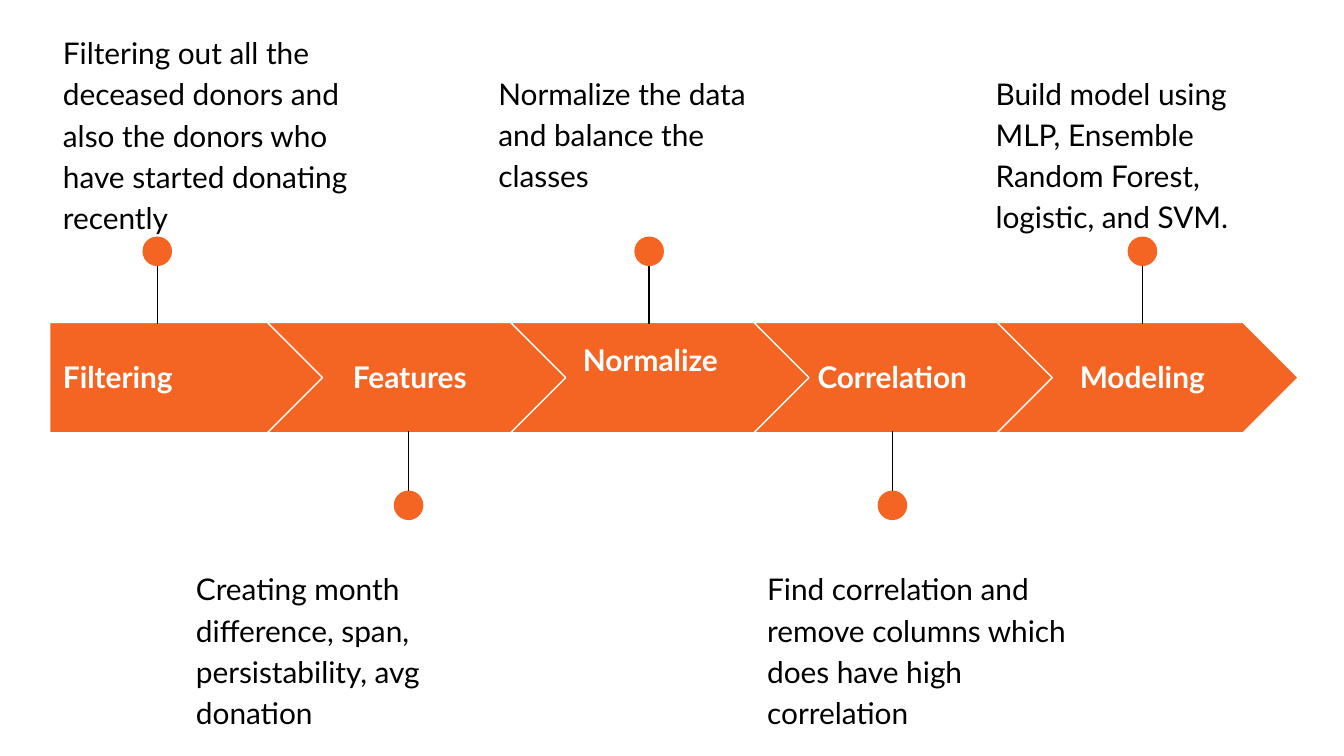
from lxml.etree import SubElement
from pptx import Presentation
from pptx.dml.color import RGBColor
from pptx.enum.shapes import MSO_CONNECTOR, MSO_SHAPE
from pptx.enum.text import MSO_ANCHOR, PP_ALIGN
from pptx.oxml.ns import qn
from pptx.util import Inches, Pt

COLORS = {"orange": "F46524", "white": "FFFFFF", "black": "000000"}
FONT, SIZE = "Lato", 16
LEFT, TOP, HIGH = 0.37, 2.4, 0.82
FIRST, STEP = 1.99, 1.81  # left of the first chevron, pitch of the chevrons
DOT = 0.22

# label, label left, label top, pin x, note left, note top, note
STEPS = [
    ("Filtering", 0.37, 2.55, 1.17, 0.37, 0.12,
     "Filtering out all the deceased donors and also the donors who "
     "have started donating recently"),
    ("Features", 2.33, 2.55, 3.04, 1.36, 4.11,
     "Creating month difference, span, persistability, avg donation"),
    ("Normalize", 4.12, 2.42, 4.83, 3.61, 0.42,
     "Normalize the data and balance the classes"),
    ("Correlation", 5.92, 2.55, 6.64, 5.61, 4.11,
     "Find correlation and remove columns which does have high correlation"),
    ("Modeling", 7.78, 2.55, 8.5, 7.31, 0.42,
     "Build model using MLP, Ensemble Random Forest, logistic, and SVM."),
]


def color(name):
    return RGBColor.from_string(COLORS[name])


class Flow:
    """Draws the parts of the process flow on one slide."""

    def __init__(self, slide):
        self.shapes = slide.shapes

    def shape(self, kind, x, y, w, h, line=None):
        item = self.shapes.add_shape(kind, *map(Inches, (x, y, w, h)))
        item.shadow.inherit = False
        item.fill.solid()
        item.fill.fore_color.rgb = color("orange")
        if line:
            item.line.color.rgb = color(line)
            item.line.width = Pt(0.75)
        else:
            item.line.fill.background()

    def text(self, words, x, y, w, h, ink="black", bold=False):
        frame = self.shapes.add_textbox(*map(Inches, (x, y, w, h))).text_frame
        frame.word_wrap = True
        frame.margin_left = frame.margin_right = Inches(0.1)
        frame.margin_top = frame.margin_bottom = Inches(0.1)
        para = frame.paragraphs[0]
        para.text = words
        font = para.font
        font.name, font.size, font.bold = FONT, Pt(SIZE), bold
        font.color.rgb = color(ink)
        return frame, para

    def label(self, words, x, y, w, align):
        frame, para = self.text(words, x, y, w, 0.51, "white", True)
        frame.vertical_anchor = MSO_ANCHOR.MIDDLE
        para.alignment = align

    def note(self, words, x, y):
        para = self.text(words, x, y, 2.45, 0.99)[1]
        para.line_spacing = 1.15
        para.space_after = Pt(16)

    def pin(self, x, above):
        """Draw a stem from the band to a dot above or below it."""
        start, end, top = (1.8, 2.41, 1.76) if above else (3.82, 3.21, 3.65)
        stem = self.shapes.add_connector(
            MSO_CONNECTOR.STRAIGHT, *map(Inches, (x, start, x, end)))
        stem.line.color.rgb = color("black")
        stem.line.width = Pt(0.75)
        SubElement(stem._element.spPr, qn("a:effectLst"))
        self.shape(MSO_SHAPE.OVAL, x - DOT / 2, top, DOT, DOT)


def main():
    deck = Presentation()
    deck.slide_width = Inches(10)
    deck.slide_height = Inches(10) * 9 // 16
    flow = Flow(deck.slides.add_slide(deck.slide_layouts[6]))
    for i, (name, x, y, pin, left, top, note) in enumerate(STEPS):
        if i == 0:
            flow.shape(MSO_SHAPE.PENTAGON, LEFT, TOP, 2.05, HIGH, "white")
            flow.label(name, x, y, 1.59, PP_ALIGN.LEFT)
        else:
            flow.shape(MSO_SHAPE.CHEVRON, FIRST + (i - 1) * STEP, TOP,
                       2.24, HIGH, "white")
            flow.label(name, x, y, 1.44, PP_ALIGN.CENTER)
        flow.pin(pin, above=i % 2 == 0)
        flow.note(note, left, top)
    deck.save("out.pptx")


if __name__ == "__main__":
    main()
